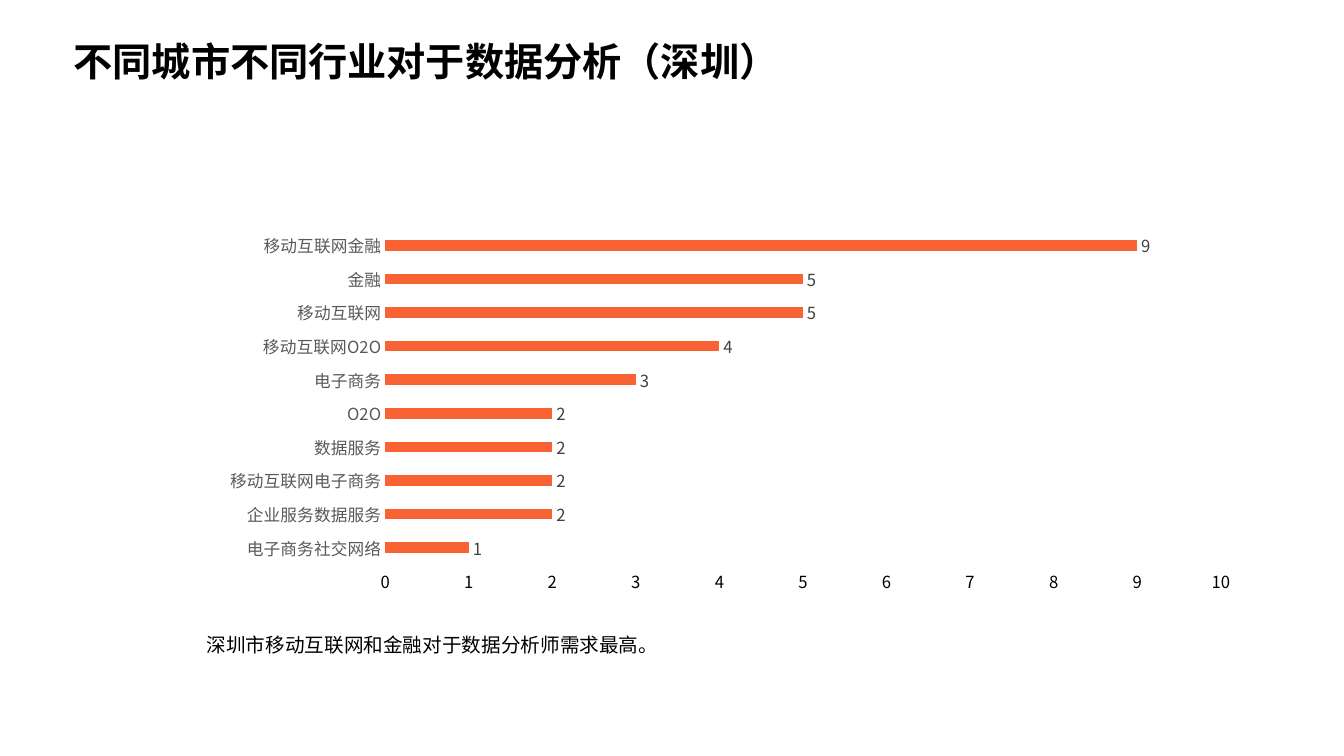
from dataclasses import dataclass

from lxml import etree
from pptx import Presentation
from pptx.chart.data import CategoryChartData
from pptx.dml.color import RGBColor
from pptx.enum.chart import XL_CHART_TYPE, XL_LABEL_POSITION, XL_TICK_MARK
from pptx.enum.text import MSO_ANCHOR, MSO_AUTO_SIZE, PP_ALIGN
from pptx.oxml.ns import qn
from pptx.util import Emu, Pt

BAR = XL_CHART_TYPE.BAR_CLUSTERED
OUTSIDE_END = XL_LABEL_POSITION.OUTSIDE_END
NO_TICK = XL_TICK_MARK.NONE
MIDDLE = MSO_ANCHOR.MIDDLE
FIXED, GROW = MSO_AUTO_SIZE.NONE, MSO_AUTO_SIZE.SHAPE_TO_FIT_TEXT
LEFT, JUSTIFY = PP_ALIGN.LEFT, PP_ALIGN.JUSTIFY

PX = 9144  # one px is a hundredth of an inch


@dataclass(frozen=True)
class Theme:
    font: str = "Noto Sans CJK SC"
    text: str = "000000"
    category: str = "595959"
    label: str = "404040"
    bar: str = "F96233"
    title_size: float = 28
    body_size: float = 14
    chart_size: float = 11.9


THEME = Theme()

# Industry and number of openings, from the bottom bar up
DEMAND = {
    "电子商务社交网络": 1,
    "企业服务数据服务": 2,
    "移动互联网电子商务": 2,
    "数据服务": 2,
    "O2O": 2,
    "电子商务": 3,
    "移动互联网O2O": 4,
    "移动互联网": 5,
    "金融": 5,
    "移动互联网金融": 9,
}
PLOT_LAYOUT = {"x": 0.206, "y": 0.137, "w": 0.742, "h": 0.717}


def px(*lengths):
    return [Emu(n * PX) for n in lengths]


def style_font(font, size, color, bold=False):
    font.name = THEME.font
    font.size = Pt(size)
    font.bold = bold
    font.color.rgb = RGBColor.from_string(color)


def match_east_asian(root):
    """Give Chinese characters the same typeface as the Latin ones."""
    for latin in root.iter(qn("a:latin")):
        ea = etree.Element(qn("a:ea"), typeface=latin.get("typeface"))
        latin.addnext(ea)


def write_text(shape, text, size, align, spacing, bold=False):
    tf = shape.text_frame
    tf.word_wrap = True
    p = tf.paragraphs[0]
    p.text = text
    p.alignment = align
    p.line_spacing = spacing
    style_font(p.font, size, THEME.text, bold)
    match_east_asian(shape.element)
    return tf


def add_title(s, text, box):
    title = s.shapes.title
    title.left, title.top, title.width, title.height = px(*box)
    tf = write_text(title, text, THEME.title_size, LEFT, 0.9, bold=True)
    tf.auto_size = FIXED
    tf.vertical_anchor = MIDDLE


def add_note(s, text, box):
    note = s.shapes.add_textbox(*px(*box))
    tf = write_text(note, text, THEME.body_size, JUSTIFY, 1.5)
    tf.auto_size = GROW


def style_axis(axis, color):
    axis.has_major_gridlines = False
    axis.major_tick_mark = axis.minor_tick_mark = NO_TICK
    axis.format.line.fill.background()
    style_font(axis.tick_labels.font, THEME.chart_size, color)


def place_plot(chart, layout):
    """Fix the inner plot area as fractions of the chart."""
    area = chart.element.find(".//" + qn("c:plotArea"))
    for old in area.findall(qn("c:layout")):
        area.remove(old)
    holder = etree.Element(qn("c:layout"))
    manual = etree.SubElement(holder, qn("c:manualLayout"))
    settings = {"layoutTarget": "inner", "xMode": "edge", "yMode": "edge", **layout}
    for name, value in settings.items():
        etree.SubElement(manual, qn("c:" + name), val=str(value))
    area.insert(0, holder)


def add_bar_chart(s, values, box):
    data = CategoryChartData()
    data.categories = list(values)
    data.add_series("Series 1", list(values.values()))
    chart = s.shapes.add_chart(BAR, *px(*box), data).chart
    chart.has_title = chart.has_legend = False
    style_font(chart.font, THEME.chart_size, THEME.text)

    # Axes
    style_axis(chart.category_axis, THEME.category)
    style_axis(chart.value_axis, THEME.text)
    chart.value_axis.minimum_scale = 0
    chart.value_axis.maximum_scale = 10
    chart.value_axis.major_unit = 1

    # Bars and their values
    plot = chart.plots[0]
    plot.gap_width = 219
    plot.vary_by_categories = False
    fill = plot.series[0].format.fill
    fill.solid()
    fill.fore_color.rgb = RGBColor.from_string(THEME.bar)
    plot.has_data_labels = True
    labels = plot.data_labels
    labels.show_value = True
    labels.position = OUTSIDE_END
    style_font(labels.font, THEME.chart_size, THEME.label)

    place_plot(chart, PLOT_LAYOUT)
    match_east_asian(chart.element)


def main():
    prs = Presentation()
    prs.slide_width, prs.slide_height = px(1333, 750)
    s = prs.slides.add_slide(prs.slide_layouts.get_by_name("Title Only"))

    add_title(s, "不同城市不同行业对于数据分析（深圳）", (63, 22, 870, 82))
    add_note(s, "深圳市移动互联网和金融对于数据分析师需求最高。", (195, 611, 1001, 41))
    add_bar_chart(s, DEMAND, (152, 163, 1117, 465))

    prs.save("out.pptx")


if __name__ == "__main__":
    main()
